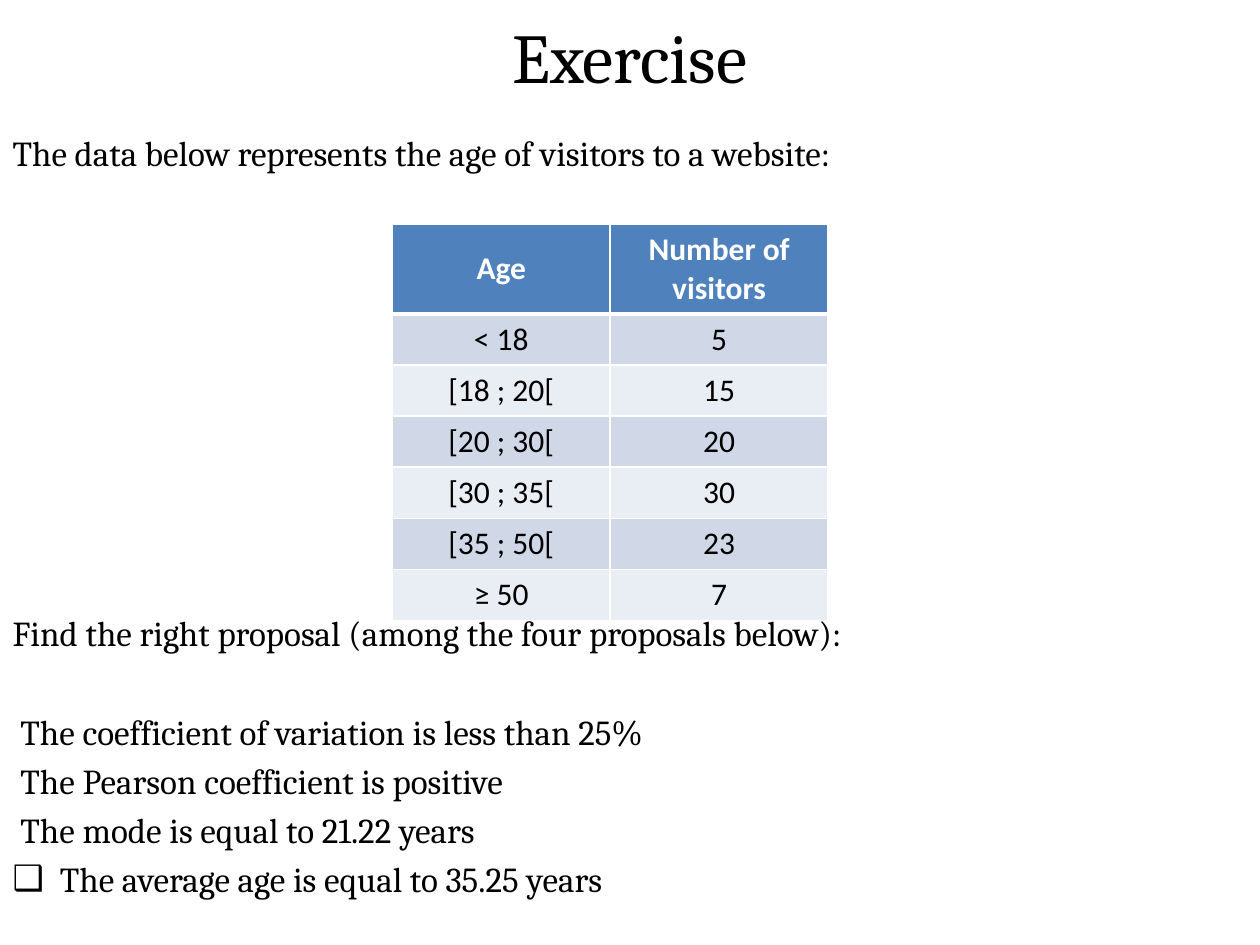
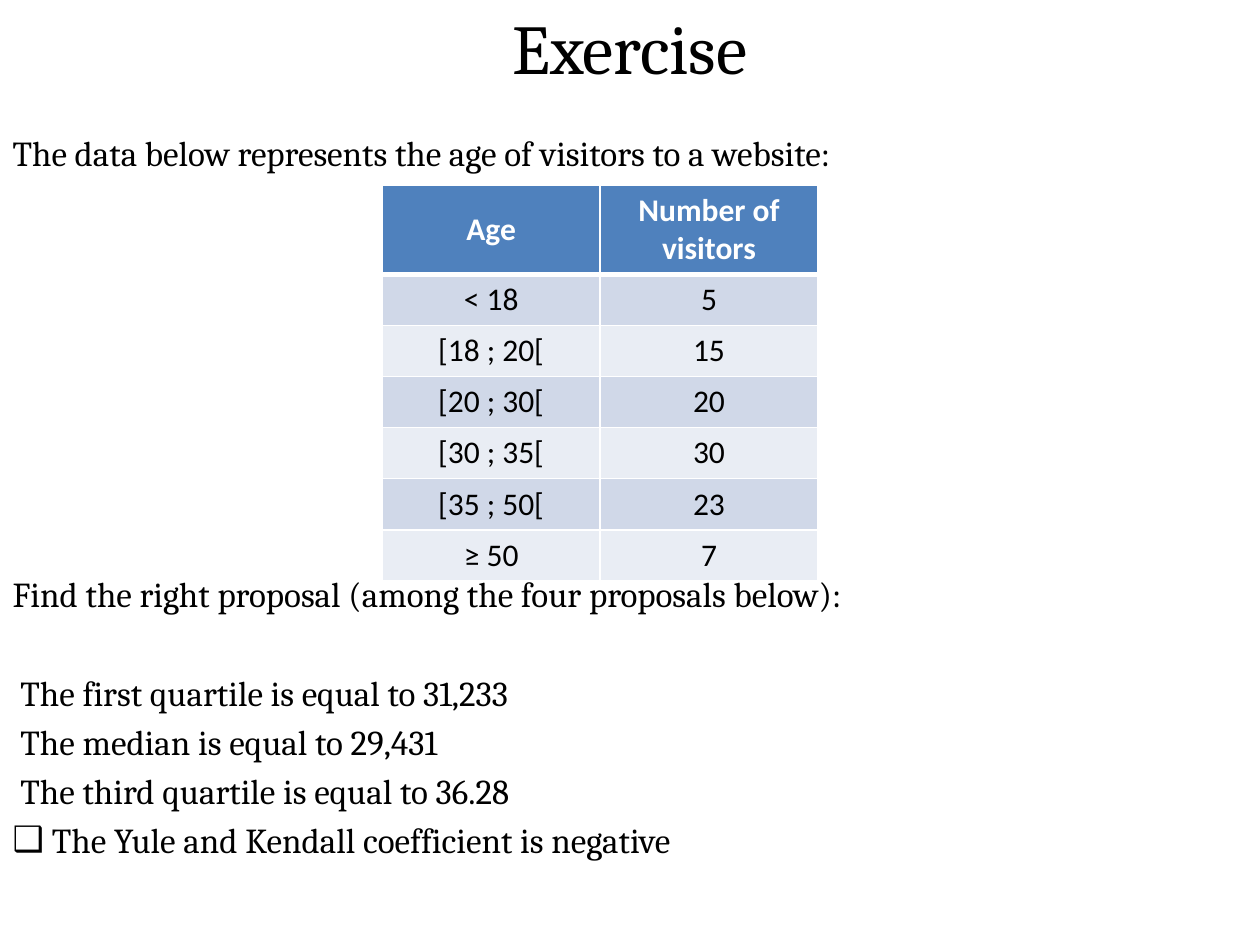
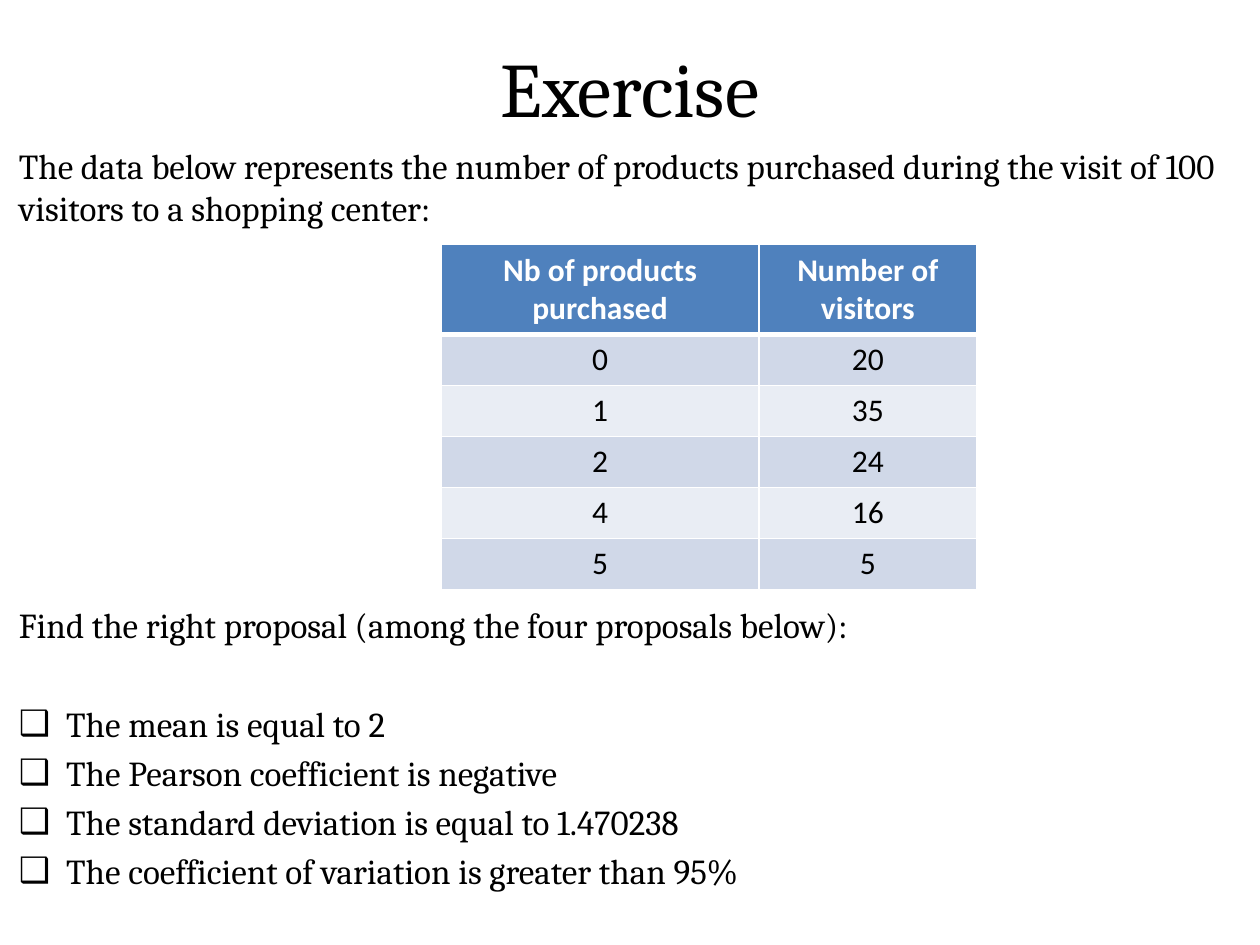
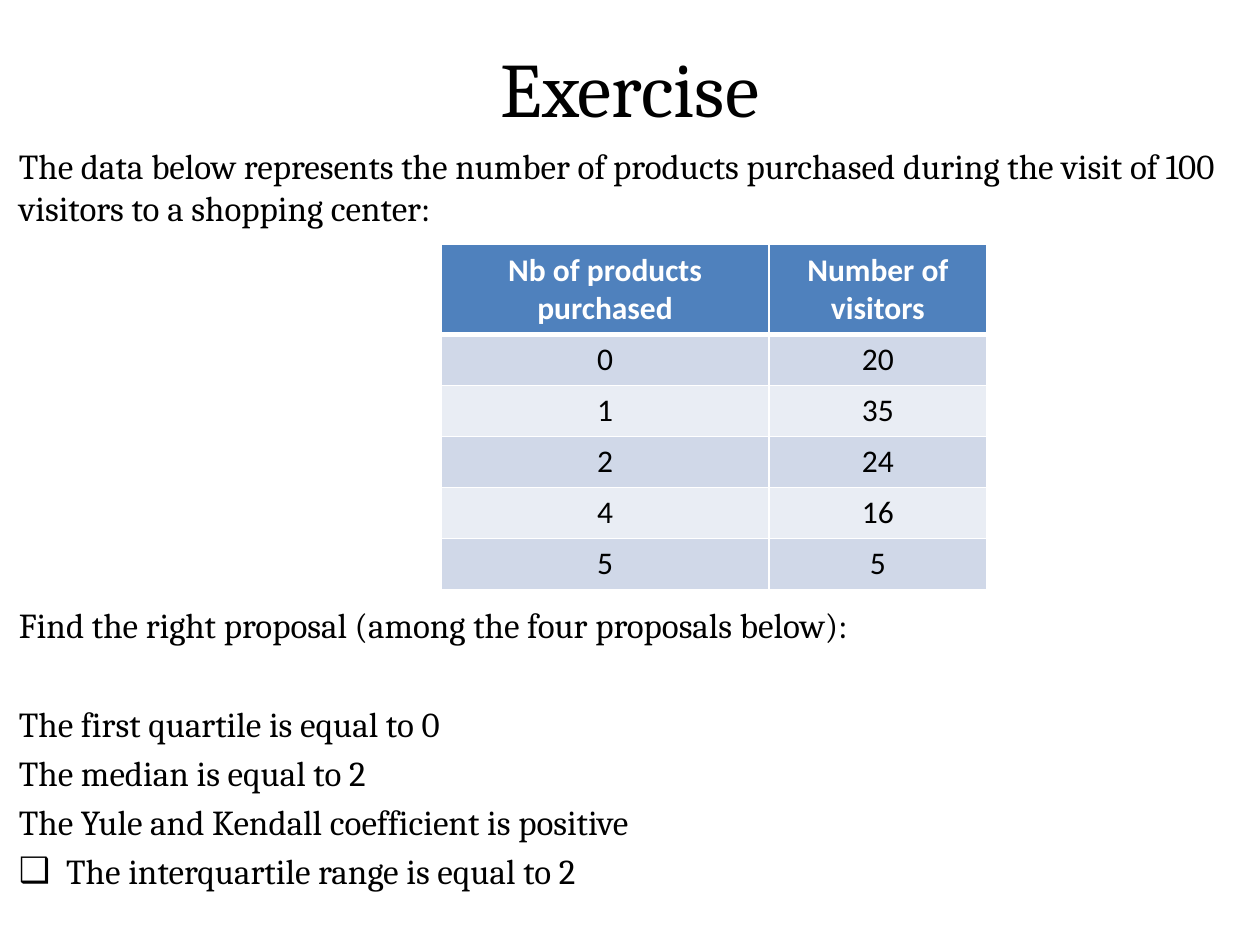
from pptx import Presentation
from pptx.dml.color import RGBColor
from pptx.enum import text
from pptx.oxml import ns
from pptx.util import Pt
from lxml import etree

SERIF, SANS = "Cambria", "Calibri"
BLACK, WHITE, BLUE = "000000", "FFFFFF", "4F81BD"
BANDS = "D0D8E8", "E9EDF4"
HEAD, ROW = 50, 29
LIST_GAP = 32.4
FIND = "Find the right proposal (among the four proposals below):"

AGES = {
    "intro": "The data below represents the age of visitors to a website:",
    "rows": [("Age", "Number of visitors"), ("< 18", "5"), ("[18 ; 20[", "15"),
             ("[20 ; 30[", "20"), ("[30 ; 35[", "30"), ("[35 ; 50[", "23"),
             ("≥ 50", "7")],
    "size": 40,
}
SALES = {
    "intro": "The data below represents the number of products purchased "
             "during the visit of 100 visitors to a shopping center:",
    "rows": [("Nb of products purchased", "Number of visitors"), ("0", "20"),
             ("1", "35"), ("2", "24"), ("4", "16"), ("5", "5")],
    "size": 44,
    "title": (36, 4.5, 648, 90),
    "body": (3.6, 79.2, 715, 455.8),
    "gap": 214,
    "hang": 27,
    "inset": 0,
}
# "ticks" is the number of closing proposals that carry a box
SLIDES = [
    AGES | {
        "title": (36, -13.5, 648, 90), "body": (0, 71.3, 720, 462.2),
        "gap": 250.7, "hang": 27, "inset": 4.5, "ticks": 1,
        "grid": (224.2, 128.2), "cols": (124.5, 124.5),
        "items": ["The coefficient of variation is less than 25%",
                  "The Pearson coefficient is positive",
                  "The mode is equal to 21.22 years",
                  "The average age is equal to 35.25 years"]},
    AGES | {
        "title": (36, -18.7, 648, 90), "body": (0, 71.3, 720, 438.5),
        "gap": 228.4, "hang": 22.5, "inset": 4.5, "ticks": 1,
        "grid": (218.4, 105.6), "cols": (124.5, 124.5),
        "items": ["The first quartile is equal to 31,233",
                  "The median is equal to 29,431",
                  "The third quartile is equal to 36.28",
                  "The Yule and Kendall coefficient is negative"]},
    SALES | {
        "ticks": 4, "grid": (252.2, 139.8), "cols": (181.5, 124.5),
        "items": ["The mean is equal to 2",
                  "The Pearson coefficient is negative",
                  "The standard deviation is equal to 1.470238",
                  "The coefficient of variation is greater than 95%"]},
    SALES | {
        "ticks": 1, "grid": (252.2, 139.8), "cols": (187.2, 124.5),
        "items": ["The first quartile is equal to 0",
                  "The median is equal to 2",
                  "The Yule and Kendall coefficient is positive",
                  "The interquartile range is equal to 2"]},
]


def color(code):
    return RGBColor.from_string(code)


def style(para, name, size, code=BLACK, bold=False):
    for key, value in {"name": name, "size": Pt(size), "bold": bold}.items():
        setattr(para.font, key, value)
    para.font.color.rgb = color(code)


def place(shape, box):
    for key, value in zip(("left", "top", "width", "height"), box):
        setattr(shape, key, Pt(value))


def add_title(slide, box, size):
    title = slide.shapes.title
    place(title, box)
    frame = title.text_frame
    frame.text = "Exercise"
    frame.vertical_anchor = text.MSO_ANCHOR.MIDDLE
    para = frame.paragraphs[0]
    para.alignment = text.PP_ALIGN.CENTER
    style(para, SERIF, size)


def bullet(para, left, hang=0):
    """Indent a paragraph; a hanging one gets a box sign."""
    props = para._p.get_or_add_pPr()
    props.set("marL", str(Pt(left)))
    props.set("indent", str(-Pt(hang)))
    if hang:
        etree.SubElement(props, ns.qn("a:buChar")).set("char", "❑")
    else:
        etree.SubElement(props, ns.qn("a:buNone"))


def add_body(slide, data):
    body = slide.placeholders[1]
    place(body, data["body"])
    frame = body.text_frame
    frame.auto_size = text.MSO_AUTO_SIZE.NONE
    lines = [data["intro"], FIND, *data["items"]]
    spaces = {0: 0, 1: data["gap"], 2: LIST_GAP}
    for i, line in enumerate(lines):
        para = frame.add_paragraph() if i else frame.paragraphs[0]
        para.text = line
        if i >= len(lines) - data["ticks"]:
            bullet(para, data["hang"], data["hang"])
        else:
            bullet(para, data["inset"] if i > 1 else 0)
        if i in spaces:
            para.space_before = Pt(spaces[i])
        style(para, SERIF, 20)


def border(cell, widths):
    """Draw white edges, given as a dict of side to width."""
    props = cell._tc.get_or_add_tcPr()
    for i, (side, width) in enumerate(widths.items()):
        line = etree.Element(ns.qn("a:ln" + side), w=str(Pt(width)))
        fill = etree.SubElement(line, ns.qn("a:solidFill"))
        etree.SubElement(fill, ns.qn("a:srgbClr"), val=WHITE)
        props.insert(i, line)


def add_grid(slide, spot, cols, rows):
    high = HEAD + ROW * (len(rows) - 1)
    box = [Pt(v) for v in (*spot, sum(cols), high)]
    table = slide.shapes.add_table(len(rows), len(cols), *box).table
    for col, width in zip(table.columns, cols):
        col.width = Pt(width)
    for r, row in enumerate(rows):
        head = r == 0
        table.rows[r].height = Pt(HEAD if head else ROW)
        for c, value in enumerate(row):
            cell = table.cell(r, c)
            cell.text = value
            cell.fill.solid()
            cell.fill.fore_color.rgb = color(BLUE if head else BANDS[(r - 1) % 2])
            if head:
                cell.vertical_anchor = text.MSO_ANCHOR.MIDDLE
            para = cell.text_frame.paragraphs[0]
            para.alignment = text.PP_ALIGN.CENTER
            style(para, SANS, 18, WHITE if head else BLACK, head)
            border(cell, {"L": 1, "R": 1, "T": 3 if r == 1 else 1,
                          "B": 3 if head else 1})


def main():
    deck = Presentation()
    deck.slide_width, deck.slide_height = Pt(720), Pt(540)
    for data in SLIDES:
        slide = deck.slides.add_slide(deck.slide_layouts[1])
        add_title(slide, data["title"], data["size"])
        add_body(slide, data)
        add_grid(slide, data["grid"], data["cols"], data["rows"])
    deck.save("out.pptx")


if __name__ == "__main__":
    main()
